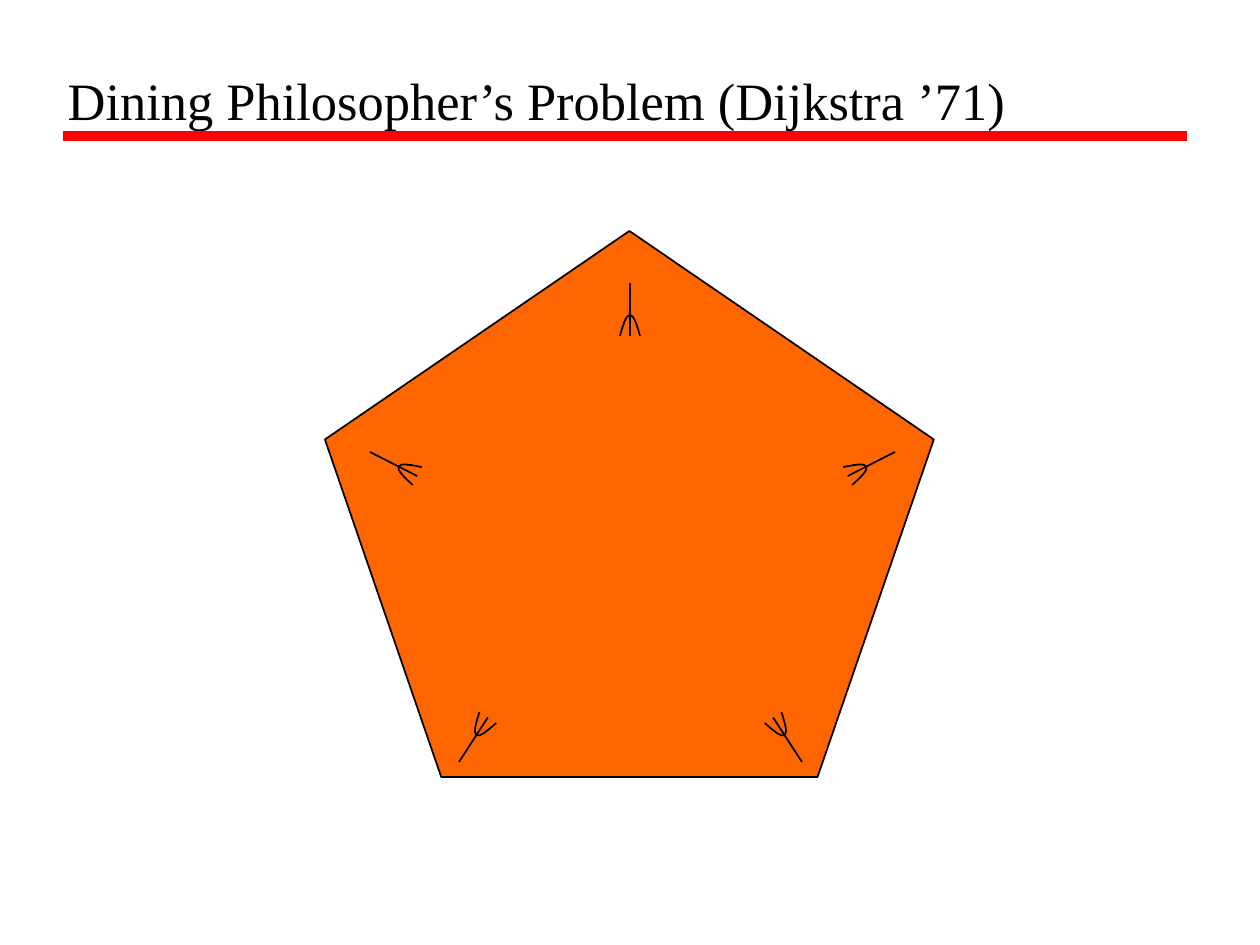
import math
import lxml.etree
import pptx
import pptx.dml.color
import pptx.enum.shapes
import pptx.enum.text
import pptx.oxml.ns
import pptx.util

PX = 914400 // 126
COLORS = {"table": "FF6600", "ink": "000000", "rule": "FF0000"}
qn = pptx.oxml.ns.qn


def color(name):
    return pptx.dml.color.RGBColor.from_string(COLORS[name])


def add_line(shapes, start, end, name, width):
    line = shapes.add_connector(
        pptx.enum.shapes.MSO_CONNECTOR.STRAIGHT, *start, *end)
    line.line.color.rgb = color(name)
    line.line.width = pptx.util.Pt(width)
    lxml.etree.SubElement(line._element.spPr, qn("a:effectLst"))


deck = pptx.Presentation()
deck.slide_width = pptx.util.Inches(10)
deck.slide_height = pptx.util.Inches(7.5)
slide = deck.slides.add_slide(deck.slide_layouts[5])

add_line(slide.shapes, (63 * PX, 136 * PX), (1187 * PX, 136 * PX), "rule", 6)

title = slide.shapes.title
title.left, title.top, title.width, title.height = [
    length * PX for length in (55, 21, 1130, 116)]
frame = title.text_frame
frame.text = "Dining Philosopher’s Problem (Dijkstra ’71)"
frame.word_wrap = True
frame.auto_size = pptx.enum.text.MSO_AUTO_SIZE.NONE
frame.vertical_anchor = pptx.enum.text.MSO_ANCHOR.BOTTOM
para = frame.paragraphs[0]
para.alignment = pptx.enum.text.PP_ALIGN.LEFT
para.font.name = "Times New Roman"
para.font.size = pptx.util.Pt(30)
para.font.color.rgb = color("ink")

table = slide.shapes.add_shape(
    pptx.enum.shapes.MSO_SHAPE.REGULAR_PENTAGON,
    *[length * PX for length in (325, 231, 609, 546)])
table.shadow.inherit = False
table.fill.solid()
table.fill.fore_color.rgb = color("table")
table.line.color.rgb = color("ink")
table.line.width = pptx.util.Pt(1)

HANDLE = [(0, 0), (0, 53)]
PRONGS = [(10, 53), (7, 42), (4, 32), (0, 32), (-4, 32), (-7, 42), (-10, 53)]
FORKS = [(630, 283, 0), (895, 452, 63), (459, 762, 213),
         (802, 762, 147), (370, 452, 297)]

for left, top, degrees in FORKS:
    sin, cos = math.sin(math.radians(degrees)), math.cos(math.radians(degrees))
    handle, prongs = [
        [(round((left + x * cos - y * sin) * PX),
          round((top + x * sin + y * cos) * PX)) for x, y in points]
        for points in (HANDLE, PRONGS)]
    fork = slide.shapes.add_group_shape()

    builder = fork.shapes.build_freeform(*prongs[0], scale=1.0)
    builder.add_line_segments(prongs[1:], close=False)
    curve = builder.convert_to_shape()
    curve.shadow.inherit = False
    curve.fill.background()
    curve.line.color.rgb = color("ink")
    curve.line.width = pptx.util.Pt(1)
    segments = list(curve._element.iter(qn("a:lnTo")))
    outline = segments[0].getparent()
    for first in range(0, len(segments), 3):
        bezier = lxml.etree.SubElement(outline, qn("a:cubicBezTo"))
        for segment in segments[first:first + 3]:
            bezier.append(segment[0])
            outline.remove(segment)

    add_line(fork.shapes, *handle, "ink", 1)

deck.save("out.pptx")
